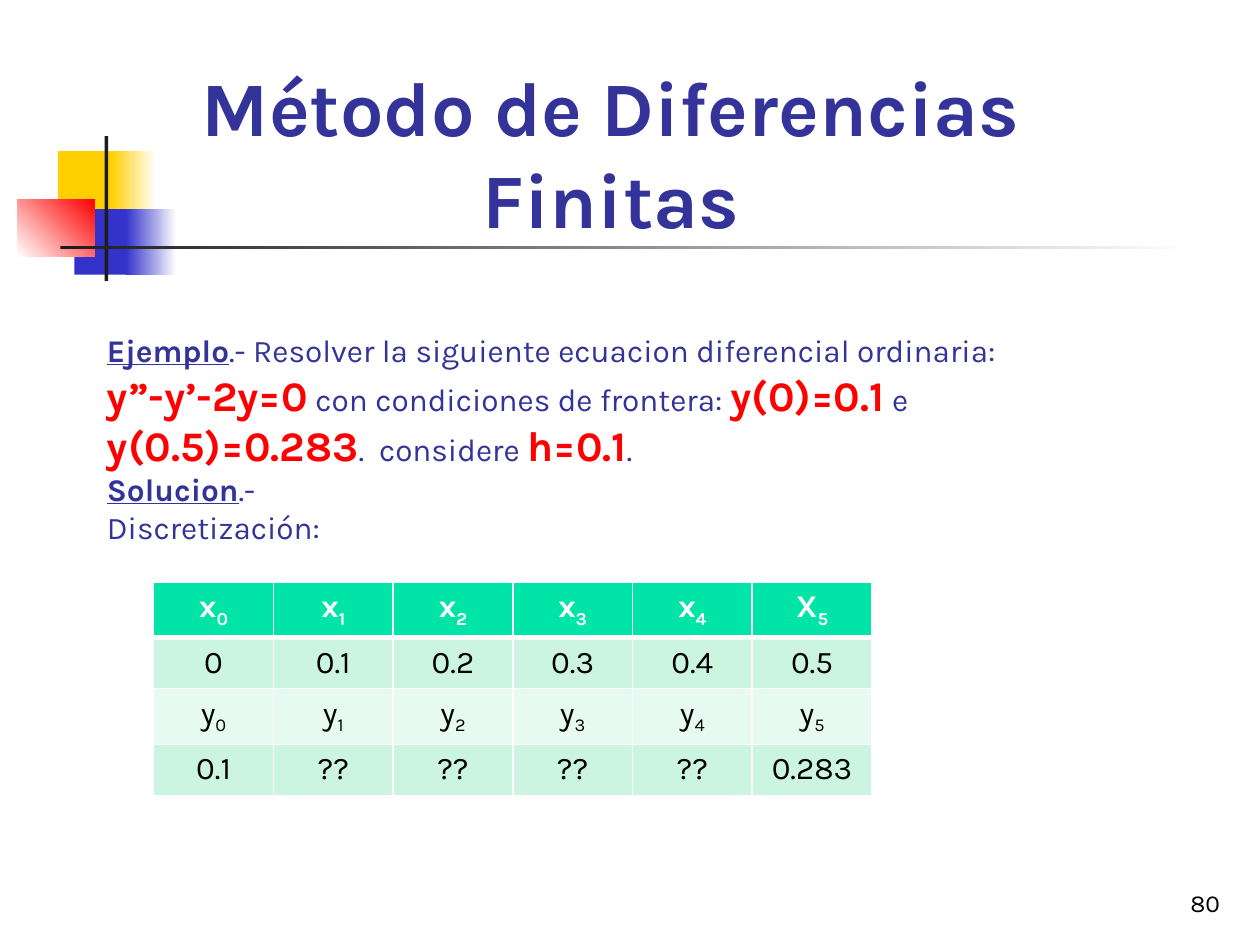
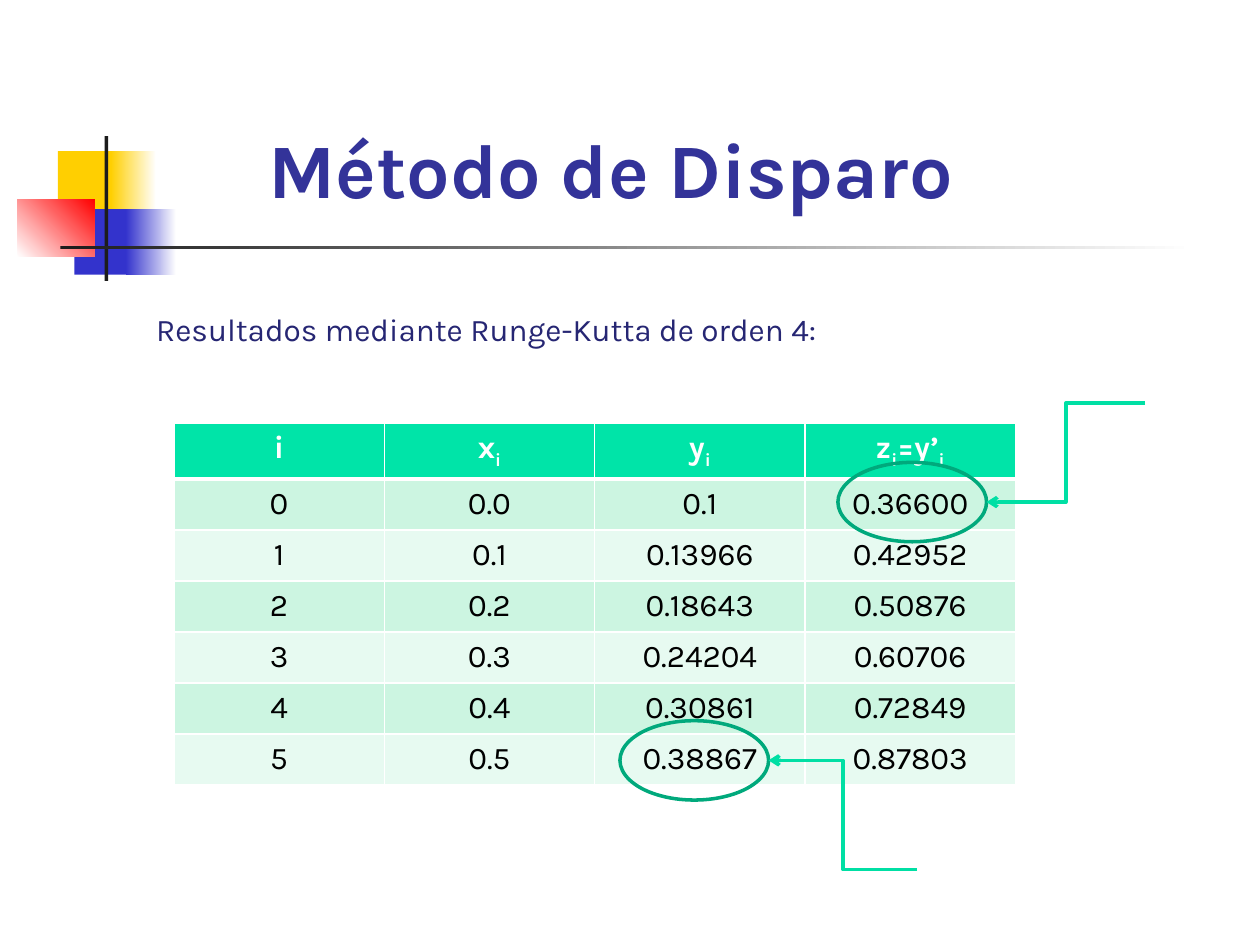
from lxml.etree import SubElement
from pptx import Presentation
from pptx.dml.color import RGBColor
from pptx.enum.shapes import MSO_CONNECTOR, MSO_SHAPE
from pptx.enum.text import MSO_ANCHOR, MSO_AUTO_SIZE, PP_ALIGN
from pptx.oxml.ns import qn
from pptx.util import Inches, Pt

WHITE = RGBColor(0xFF, 0xFF, 0xFF)
BLACK = RGBColor(0x00, 0x00, 0x00)
CHARCOAL = RGBColor(0x1C, 0x1C, 0x1C)
YELLOW = RGBColor(0xFF, 0xCF, 0x01)
BLUE = RGBColor(0x33, 0x33, 0xCC)
RED = RGBColor(0xFF, 0x00, 0x00)
INDIGO = RGBColor(0x33, 0x33, 0x99)
NAVY = RGBColor(0x26, 0x26, 0x73)
HEADER_GREEN = RGBColor(0x00, 0xE4, 0xA8)
ROW_GREENS = [RGBColor(0xE7, 0xFA, 0xF1), RGBColor(0xCC, 0xF5, 0xE1)]
ARROW_GREEN = RGBColor(0x00, 0xDF, 0xA4)
RING_GREEN = RGBColor(0x00, 0xA9, 0x7C)

PLAIN = {"size": Pt(18), "bold": False}
LABEL = {"size": Pt(18), "bold": True, "underline": True}
FORMULA = {"size": Pt(24), "bold": True}
TITLE = {"size": Pt(44), "bold": True}


def add_run(paragraph, text, color, formats):
    run = paragraph.add_run()
    run.text = text
    run.font.name = "Karla"
    run.font.color.rgb = color
    for name, value in formats.items():
        setattr(run.font, name, value)
    return run


def add_grid(slide, rows, left, top, column_width):
    row_height = Inches(0.405)
    table = slide.shapes.add_table(
        len(rows), len(rows[0]), left, top, column_width * len(rows[0]), row_height * len(rows)
    ).table
    for column in table.columns:
        column.width = column_width
    for row_index, row in enumerate(rows):
        table.rows[row_index].height = row_height
        header = row_index == 0
        widths = {"a:lnL": 1, "a:lnR": 1, "a:lnT": 3 if row_index == 1 else 1, "a:lnB": 3 if header else 1}
        for column_index, text in enumerate(row):
            cell = table.cell(row_index, column_index)
            properties = cell._tc.get_or_add_tcPr()
            for tag, width in widths.items():
                border = SubElement(properties, qn(tag), w=str(Pt(width)))
                border_fill = SubElement(border, qn("a:solidFill"))
                SubElement(border_fill, qn("a:srgbClr"), val=str(WHITE))
            cell.fill.solid()
            cell.fill.fore_color.rgb = HEADER_GREEN if header else ROW_GREENS[row_index % 2]
            paragraph = cell.text_frame.paragraphs[0]
            paragraph.alignment = PP_ALIGN.CENTER
            color = WHITE if header else BLACK
            formats = {"size": Pt(18), "bold": header}
            base, *marked_parts = text.split("_")
            add_run(paragraph, base, color, formats)
            for part in marked_parts:
                subscript = add_run(paragraph, part[0], color, formats)
                subscript._r.get_or_add_rPr().set("baseline", "-25000")
                if part[1:]:
                    add_run(paragraph, part[1:], color, formats)


presentation = Presentation()
presentation.slide_width = Inches(10)
presentation.slide_height = Inches(7.5)
title_layout = presentation.slide_layouts[5]

slides = []
for title_text, title_top in [("Método de Diferencias Finitas", 1.31), ("Método de Disparo", 1.07)]:
    slide = presentation.slides.add_slide(title_layout)
    title = slide.shapes.title
    title.left, title.top, title.width, title.height = map(Inches, (0.83, title_top, 8.04, 0.68))
    frame_formats = {"word_wrap": True, "auto_size": MSO_AUTO_SIZE.NONE, "vertical_anchor": MSO_ANCHOR.BOTTOM}
    for name, value in frame_formats.items():
        setattr(title.text_frame, name, value)
    paragraph = title.text_frame.paragraphs[0]
    paragraph.alignment = PP_ALIGN.CENTER
    add_run(paragraph, title_text, INDIGO, TITLE)
    slides.append(slide)
differences_slide, shooting_slide = slides

emblem_parts = [
    ((0.46, 1.2, 0.48, 0.52), [YELLOW], 0),
    ((0.88, 1.2, 0.36, 0.52), [YELLOW, WHITE], 0),
    ((0.59, 1.66, 0.46, 0.52), [BLUE], 0),
    ((1, 1.66, 0.4, 0.52), [BLUE, WHITE], 0),
    ((0.14, 1.58, 0.61, 0.46), [WHITE, RED], 45),
    ((0.83, 1.08, 0.03, 1.15), [CHARCOAL], 0),
    ((0.48, 1.95, 9, 0.03), [CHARCOAL, WHITE], 0),
]
for box, colors, angle in emblem_parts:
    shape = differences_slide.shapes.add_shape(MSO_SHAPE.RECTANGLE, *map(Inches, box))
    shape.shadow.inherit = False
    shape.line.fill.background()
    if len(colors) == 1:
        shape.fill.solid()
        shape.fill.fore_color.rgb = colors[0]
    else:
        shape.fill.gradient()
        shape.fill.gradient_angle = angle
        for stop, color in zip(shape.fill.gradient_stops, colors):
            stop.color.rgb = color
    title_layout.shapes.element.append(shape.element)

number_box = differences_slide.shapes.add_textbox(Inches(7.7), Inches(6.83), Inches(2.08), Inches(0.5))
number_box.text_frame.word_wrap = True
number_box.text_frame.vertical_anchor = MSO_ANCHOR.BOTTOM
paragraph = number_box.text_frame.paragraphs[0]
paragraph.alignment = PP_ALIGN.RIGHT
add_run(paragraph, "80", BLACK, {"size": Pt(14)})

example_lines = [
    [("Ejemplo", INDIGO, LABEL), (".- Resolver la siguiente ecuacion diferencial ordinaria:", INDIGO, PLAIN)],
    [
        ("y”-y’-2y=0", RED, FORMULA),
        (" con condiciones de frontera: ", INDIGO, PLAIN),
        ("y(0)=0.1", RED, FORMULA),
        (" e ", INDIGO, PLAIN),
        ("y(0.5)=0.283", RED, FORMULA),
        (".  considere ", INDIGO, PLAIN),
        ("h=0.1", RED, FORMULA),
        (".", INDIGO, PLAIN),
    ],
    [("Solucion", INDIGO, LABEL), (".-", INDIGO, PLAIN)],
    [("Discretización:", INDIGO, PLAIN)],
]
example_box = differences_slide.shapes.add_textbox(Inches(0.75), Inches(3.67), Inches(8.58), Inches(0.71))
example_frame = example_box.text_frame
example_frame.word_wrap = True
example_frame.vertical_anchor = MSO_ANCHOR.BOTTOM
for line_index, line in enumerate(example_lines):
    paragraph = example_frame.add_paragraph() if line_index else example_frame.paragraphs[0]
    for text, color, formats in line:
        add_run(paragraph, text, color, formats)

discretization_rows = [
    ["x_0", "x_1", "x_2", "x_3", "x_4", "X_5"],
    ["0", "0.1", "0.2", "0.3", "0.4", "0.5"],
    [f"y_{index}" for index in range(6)],
    ["0.1", "??", "??", "??", "??", "0.283"],
]
add_grid(differences_slide, discretization_rows, Inches(1.22), Inches(4.62), Inches(0.95))

results_box = shooting_slide.shapes.add_textbox(Inches(1.14), Inches(2.41), Inches(7.72), Inches(0.4))
results_box.text_frame.word_wrap = True
add_run(results_box.text_frame.paragraphs[0], "Resultados mediante Runge-Kutta de orden 4:", NAVY, PLAIN)

result_rows = [
    ["i", "x_i", "y_i", "z_i=y’_i"],
    ["0", "0.0", "0.1", "0.36600"],
    ["1", "0.1", "0.13966", "0.42952"],
    ["2", "0.2", "0.18643", "0.50876"],
    ["3", "0.3", "0.24204", "0.60706"],
    ["4", "0.4", "0.30861", "0.72849"],
    ["5", "0.5", "0.38867", "0.87803"],
]
add_grid(shooting_slide, result_rows, Inches(1.38), Inches(3.36), Inches(1.67))

ring_width, ring_height = 1.18, 0.63
for ring_left, ring_top, arrow_start in [(6.65, 3.67, (9.09, 3.2)), (4.92, 5.72, (7.28, 6.9))]:
    ring = shooting_slide.shapes.add_shape(
        MSO_SHAPE.OVAL, *map(Inches, (ring_left, ring_top, ring_width, ring_height))
    )
    ring.shadow.inherit = False
    ring.fill.background()
    arrow_end = (ring_left + ring_width, ring_top + ring_height / 2)
    arrow = shooting_slide.shapes.add_connector(MSO_CONNECTOR.ELBOW, *map(Inches, arrow_start + arrow_end))
    for outlined, color in [(ring, RING_GREEN), (arrow, ARROW_GREEN)]:
        outlined.line.color.rgb = color
        outlined.line.width = Pt(2)
    SubElement(arrow.line._get_or_add_ln(), qn("a:tailEnd"), type="arrow")
    SubElement(arrow.element.spPr, qn("a:effectLst"))

presentation.save("out.pptx")
